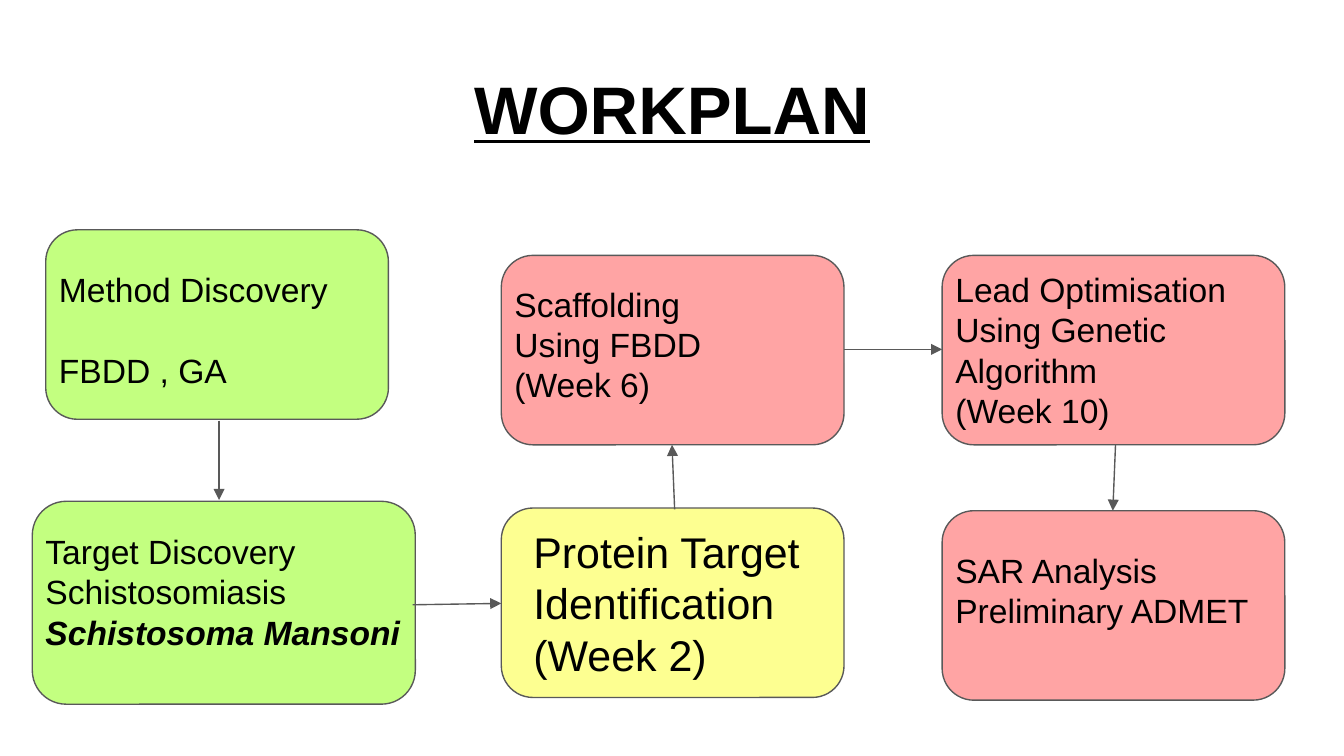
"""Build the workplan slide: six stages joined by arrows."""
from lxml.etree import SubElement
from pptx import Presentation
from pptx.dml.color import RGBColor
from pptx.enum.shapes import MSO_CONNECTOR, MSO_SHAPE
from pptx.enum.text import MSO_ANCHOR, MSO_AUTO_SIZE, PP_ALIGN
from pptx.oxml.ns import qn
from pptx.util import Inches, Pt

THEME = {
    "font": "Arial", "ink": "000000", "edge": "595959",
    "done": "C3FF80", "now": "FDFF91", "next": "FFA4A4",
    "title": 36, "body": 18, "large": 23, "line": 0.75,
    "inset": 0.1, "round": 0.167, "gap": 21.6,
}
WIDTH = 10
SIZE = (WIDTH, WIDTH * 9 / 16)
TITLE = ("WORKPLAN", (0.34, 0.34, 9.32, 0.92))
BOX = (2.55, 1.41)
STAGES = [
    {"fill": "done", "box": (0.34, 1.71, *BOX), "label": (0.34, 1.9, 6.52, 1.11),
     "lines": ["Method Discovery", "FBDD , GA"], "apart": True},
    {"fill": "done", "box": (0.24, 3.73, 2.85, 1.51), "label": (0.24, 3.85, 3.1, 1.11),
     "lines": ["Target Discovery", "Schistosomiasis", "Schistosoma Mansoni"],
     "strong": "Schistosoma Mansoni"},
    {"fill": "now", "box": (3.73, 3.78, *BOX), "label": (3.87, 3.81, 6.06, 1.36),
     "lines": ["Protein Target", "Identification", "(Week 2)"], "size": "large"},
    {"fill": "next", "box": (3.73, 1.9, *BOX), "label": (3.73, 2.01, 5.74, 1.11),
     "lines": ["Scaffolding", "Using FBDD", "(Week 6)"]},
    {"fill": "next", "box": (7.01, 1.9, *BOX), "label": (7.01, 1.9, 2.68, 1.41),
     "lines": ["Lead Optimisation", "Using Genetic Algorithm", "(Week 10)"]},
    {"fill": "next", "box": (7.01, 3.8, *BOX), "label": (7.01, 3.99, 2.83, 0.81),
     "lines": ["SAR Analysis", "Preliminary ADMET"]},
]
ARROWS = [
    (1.63, 3.13, 1.63, 3.72), (3.07, 4.5, 3.73, 4.49), (5.02, 3.79, 5, 3.31),
    (6.28, 2.6, 7.01, 2.6), (8.3, 3.31, 8.28, 3.8),
]


def color(name):
    return RGBColor.from_string(THEME[name])


def assign(item, values):
    for key, value in values.items():
        setattr(item, key, value)


def place(item, rect):
    assign(item, dict(zip(("left", "top", "width", "height"), map(Inches, rect))))


def style(font, size, **extra):
    assign(font, {"name": THEME["font"], "size": Pt(THEME[size]), **extra})
    font.color.rgb = color("ink")


def frame(text, **extra):
    sides = ("margin_left", "margin_top", "margin_right", "margin_bottom")
    assign(text, {**dict.fromkeys(sides, Inches(THEME["inset"])),
                  "word_wrap": True, **extra})


def stroke(line):
    line.color.rgb = color("edge")
    line.width = Pt(THEME["line"])


def draw_title(slide):
    title = slide.shapes.title
    words, rect = TITLE
    place(title, rect)
    frame(title.text_frame, vertical_anchor=MSO_ANCHOR.MIDDLE,
          auto_size=MSO_AUTO_SIZE.NONE)
    para = title.text_frame.paragraphs[0]
    para.alignment = PP_ALIGN.CENTER
    run = para.add_run()
    run.text = words
    style(run.font, "title", bold=True, underline=True)


def draw_box(slide, stage):
    box = slide.shapes.add_shape(MSO_SHAPE.ROUNDED_RECTANGLE,
                                 *map(Inches, stage["box"]))
    box.adjustments[0] = THEME["round"]
    box.shadow.inherit = False
    box.fill.solid()
    box.fill.fore_color.rgb = color(stage["fill"])
    stroke(box.line)


def draw_arrow(slide, ends):
    arrow = slide.shapes.add_connector(MSO_CONNECTOR.STRAIGHT, *map(Inches, ends))
    stroke(arrow.line)
    props = arrow.line._get_or_add_ln()
    SubElement(props, qn("a:tailEnd"), type="triangle")
    SubElement(props.getparent(), qn("a:effectLst"))


def draw_label(slide, stage):
    label = slide.shapes.add_textbox(*map(Inches, stage["label"]))
    text = label.text_frame
    frame(text, vertical_anchor=MSO_ANCHOR.TOP,
          auto_size=MSO_AUTO_SIZE.SHAPE_TO_FIT_TEXT)
    for row, words in enumerate(stage["lines"]):
        para = text.add_paragraph() if row else text.paragraphs[0]
        if row and stage.get("apart"):
            para.space_before = Pt(THEME["gap"])
        run = para.add_run()
        run.text = words
        strong = words == stage.get("strong")
        style(run.font, stage.get("size", "body"), bold=strong, italic=strong)


def main():
    deck = Presentation()
    deck.slide_width, deck.slide_height = map(Inches, SIZE)
    slide = deck.slides.add_slide(deck.slide_layouts[5])
    draw_title(slide)
    for draw, items in ((draw_box, STAGES), (draw_arrow, ARROWS), (draw_label, STAGES)):
        for item in items:
            draw(slide, item)
    deck.save("out.pptx")


if __name__ == "__main__":
    main()
